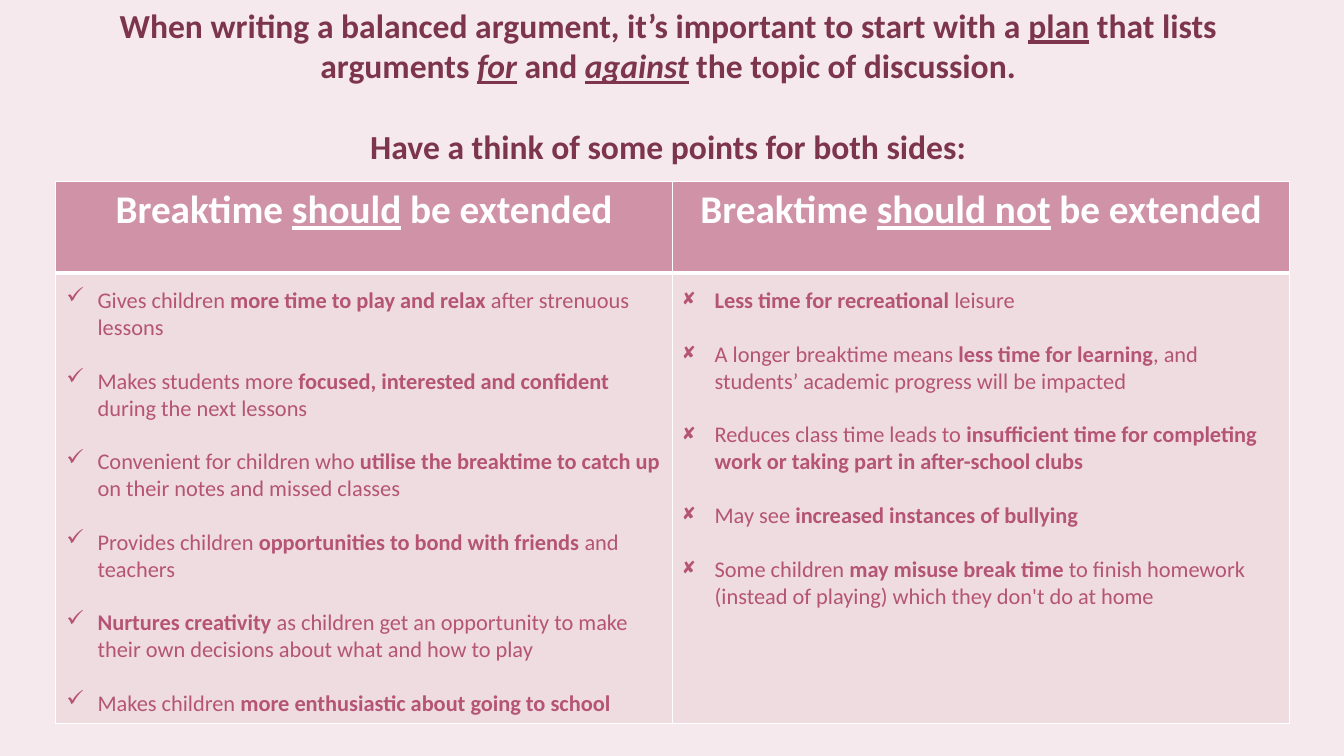
from lxml import etree
from pptx import Presentation
from pptx.dml.color import RGBColor
from pptx.enum import text
from pptx.oxml import ns
from pptx.util import Inches, Pt

# Content: each paragraph is a list of (words, style); b bold, i italic, u underline
TITLE = [
    [("When writing a balanced argument, it’s important to start with a ", "b"),
     ("plan", "bu"), (" that lists ", "b")],
    [("arguments ", "b"), ("for", "biu"), (" and ", "b"), ("against", "biu"),
     (" the topic of discussion. ", "b")],
    [("Have a think of some points for both sides: ", "b")],
]
HEADINGS = [
    [("Breaktime ", "b"), ("should", "bu"), (" be extended", "b")],
    [("Breaktime ", "b"), ("should not", "bu"), (" be extended", "b")],
]
POINTS_FOR = [
    [("Gives children ", ""), ("more time to play and relax", "b"),
     (" after strenuous lessons", "")],
    [("Makes students more ", ""), ("focused, interested and confident ", "b"),
     ("during the next lessons", "")],
    [("Convenient for children who ", ""), ("utilise the breaktime to catch up ", "b"),
     ("on their notes and missed classes", "")],
    [("Provides children ", ""), ("opportunities to bond with friends ", "b"),
     ("and teachers", "")],
    [("Nurtures creativity ", "b"),
     ("as children get an opportunity to make their own decisions about what and how to play", "")],
    [("Makes children ", ""), ("more enthusiastic about going to school", "b")],
]
POINTS_AGAINST = [
    [("Less time for recreational ", "b"), ("leisure", "")],
    [("A longer breaktime means ", ""), ("less time for learning", "b"),
     (", and students’ academic progress will be impacted", "")],
    [("Reduces class time leads to ", ""),
     ("insufficient time for completing work or taking part in after-school clubs", "b")],
    [("May see ", ""), ("increased instances of bullying", "b")],
    [("Some children ", ""), ("may misuse break time ", "b"),
     ("to finish homework (instead of playing) which they don't do at home", "")],
]
# Bullet, points, box height
SIDES = [("✓", POINTS_FOR, 4.71), ("✘", POINTS_AGAINST, 3.64)]

FONT = "Calibri"
BACKGROUND = RGBColor(0xF6, 0xE9, 0xED)
PLUM = RGBColor(0x7C, 0x35, 0x4D)
ROSE = RGBColor(0xB5, 0x54, 0x75)
HEADER_FILL = RGBColor(0xD0, 0x92, 0xA7)
BODY_FILL = RGBColor(0xEE, 0xDC, 0xE1)
WHITE = RGBColor(0xFF, 0xFF, 0xFF)

TABLE_LEFT, TABLE_TOP = 0.55, 1.8
COLUMN_WIDTH = 6.12
ROW_HEIGHTS = [0.91, 4.47]
POINTS_TOP = 2.79
INDENT = 0.31
LINE_PITCH = 1.2


def add_runs(paragraph, runs, size, color):
    for words, style in runs:
        run = paragraph.add_run()
        run.text = words
        font = run.font
        font.name, font.size = FONT, Pt(size)
        font.color.rgb = color
        font.bold = "b" in style
        font.italic = "i" in style
        font.underline = "u" in style


def add_paragraphs(frame, paragraphs, size, color):
    for index, runs in enumerate(paragraphs):
        paragraph = frame.paragraphs[0] if index == 0 else frame.add_paragraph()
        add_runs(paragraph, runs, size, color)


def add_bullet(paragraph, mark):
    properties = paragraph._p.get_or_add_pPr()
    properties.set("marL", str(Inches(INDENT)))
    properties.set("indent", str(-Inches(INDENT)))
    etree.SubElement(properties, ns.qn("a:buChar")).set("char", mark)


def add_borders(cell, widths):
    properties = cell._tc.get_or_add_tcPr()
    for side, width in zip("LRTB", widths):
        line = etree.SubElement(properties, ns.qn(f"a:ln{side}"), w=str(Pt(width)))
        fill = etree.SubElement(line, ns.qn("a:solidFill"))
        etree.SubElement(fill, ns.qn("a:srgbClr"), val=str(WHITE))


def add_box(slide, left, top, width, height, wrap):
    box = slide.shapes.add_textbox(*map(Inches, (left, top, width, height)))
    box.text_frame.word_wrap = wrap
    box.text_frame.auto_size = text.MSO_AUTO_SIZE.SHAPE_TO_FIT_TEXT
    return box.text_frame


def main():
    presentation = Presentation()
    presentation.slide_width, presentation.slide_height = Inches(13.33), Inches(7.5)
    slide = presentation.slides.add_slide(presentation.slide_layouts[6])
    slide.background.fill.solid()
    slide.background.fill.fore_color.rgb = BACKGROUND

    # Title, with one line of space above the last sentence
    title = add_box(slide, 1.03, 0, 11.27, 1.72, False)
    add_paragraphs(title, TITLE, 24, PLUM)
    for paragraph in title.paragraphs:
        paragraph.alignment = text.PP_ALIGN.CENTER
    title.paragraphs[-1].space_before = Pt(24 * LINE_PITCH)

    # Table with a heading row and a plain body row
    table = slide.shapes.add_table(
        2, 2, Inches(TABLE_LEFT), Inches(TABLE_TOP),
        Inches(2 * COLUMN_WIDTH), Inches(sum(ROW_HEIGHTS))).table
    for row, height in zip(table.rows, ROW_HEIGHTS):
        row.height = Inches(height)
    for column, heading in enumerate(HEADINGS):
        table.columns[column].width = Inches(COLUMN_WIDTH)
        header, body = table.cell(0, column), table.cell(1, column)
        for cell, color, widths in ((header, HEADER_FILL, (1, 1, 1, 3)),
                                    (body, BODY_FILL, (1, 1, 3, 1))):
            add_borders(cell, widths)
            cell.fill.solid()
            cell.fill.fore_color.rgb = color
        add_runs(header.text_frame.paragraphs[0], heading, 28, WHITE)
        header.text_frame.paragraphs[0].alignment = text.PP_ALIGN.CENTER

    # Points for and against, over the body cells
    for column, (mark, points, height) in enumerate(SIDES):
        left = TABLE_LEFT + 0.01 + column * COLUMN_WIDTH
        frame = add_box(slide, left, POINTS_TOP, COLUMN_WIDTH - 0.01, height, True)
        add_paragraphs(frame, points, 16, ROSE)
        for index, paragraph in enumerate(frame.paragraphs):
            if index:
                paragraph.space_before = Pt(16 * LINE_PITCH)
            add_bullet(paragraph, mark)

    presentation.save("out.pptx")


if __name__ == "__main__":
    main()
